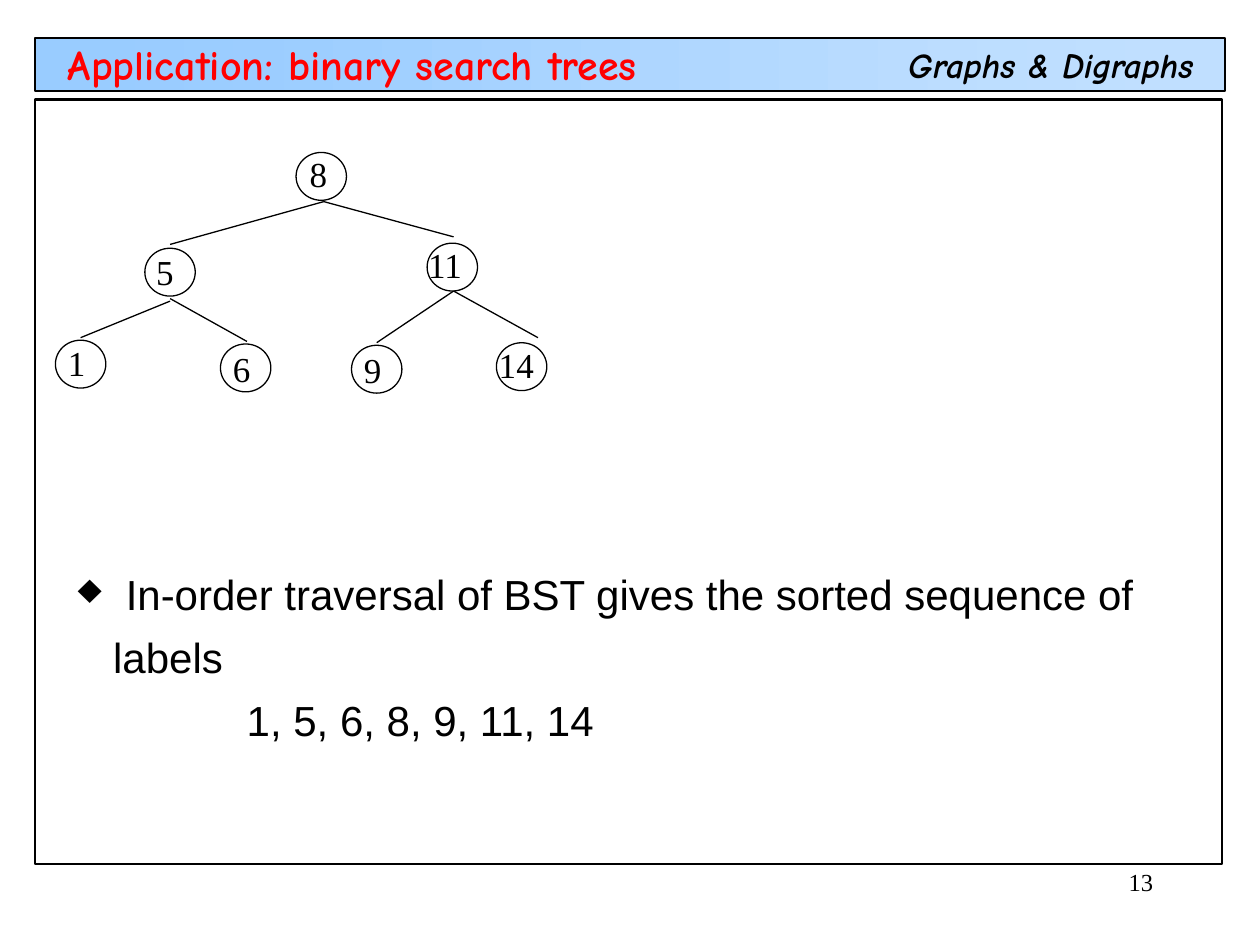
import math

from lxml import etree
from pptx import Presentation
from pptx import util as u
from pptx.dml.color import RGBColor
from pptx.enum import shapes, text
from pptx.oxml.ns import qn

PX = 9144  # EMU per px, 100 px to the inch
BLACK = RGBColor(0x00, 0x00, 0x00)
RED = RGBColor(0xFF, 0x00, 0x00)
BAND_START = RGBColor(0x99, 0xCC, 0xFF)
BAND_END = RGBColor(0xC0, 0xDF, 0xFF)
STRIPS = 24

# label, circle left and top, label left, top and width
NODES = [
    ("8", 235, 121, 236, 116, 41),
    ("5", 115, 197, 114, 194, 41),
    ("11", 339, 193, 330, 188, 60),
    ("1", 44, 270, 44, 266, 41),
    ("6", 175, 273, 175, 271, 41),
    ("9", 279, 274, 279, 272, 41),
    ("14", 394, 272, 386, 268, 82),
]
EDGES = [
    (257, 160, 135, 194),
    (257, 160, 360, 188),
    (135, 239, 64, 268),
    (135, 237, 196, 271),
    (360, 231, 299, 272),
    (360, 231, 427, 268),
]
# text, left margin, first-line indent, bullet
BODY = [
    ("In-order traversal of BST gives the sorted sequence of", 38, -38, "♦"),
    ("labels", 28, 0, None),
    ("1, 5, 6, 8, 9, 11, 14", 134, 0, None),
]


def band_colour(position):
    """Blend the band's end colours with a cosine ease; position is 0 to 1."""
    ease = (1 - math.cos(math.pi * position)) / 2
    return RGBColor(*(round(a + (b - a) * ease) for a, b in zip(BAND_START, BAND_END)))


class SlideBuilder:
    def __init__(self, slide):
        self.slide = slide

    def shape(self, kind, left, top, width, height, fill=None, line_width=None):
        shape = self.slide.shapes.add_shape(
            kind, left * PX, top * PX, width * PX, height * PX)
        shape.shadow.inherit = False
        if fill is None:
            shape.fill.background()
        else:
            shape.fill.solid()
            shape.fill.fore_color.rgb = fill
        if line_width is None:
            shape.line.fill.background()
        else:
            shape.line.color.rgb = BLACK
            shape.line.width = u.Pt(line_width)

    def line(self, x1, y1, x2, y2):
        connector = self.slide.shapes.add_connector(
            shapes.MSO_CONNECTOR.STRAIGHT, x1 * PX, y1 * PX, x2 * PX, y2 * PX)
        connector.line.color.rgb = BLACK
        connector.line.width = u.Pt(0.75)
        etree.SubElement(connector._element.spPr, qn("a:effectLst"))

    def frame(self, left, top, width, height, wrap=True):
        box = self.slide.shapes.add_textbox(
            left * PX, top * PX, width * PX, height * PX)
        box.text_frame.word_wrap = wrap
        return box.text_frame

    def style(self, paragraph, font, size, colour=BLACK, bold=False, italic=False):
        paragraph.font.name = font
        paragraph.font.size = u.Pt(size)
        paragraph.font.color.rgb = colour
        paragraph.font.bold = bold
        paragraph.font.italic = italic

    def label(self, words, box, font, size, wrap=True, anchor=text.MSO_ANCHOR.TOP,
              align=text.PP_ALIGN.LEFT, **look):
        frame = self.frame(*box, wrap=wrap)
        frame.vertical_anchor = anchor
        paragraph = frame.paragraphs[0]
        paragraph.text = words
        paragraph.alignment = align
        self.style(paragraph, font, size, **look)

    def body(self, items, box):
        frame = self.frame(*box)
        for index, (words, margin, indent, bullet) in enumerate(items):
            paragraph = frame.add_paragraph() if index else frame.paragraphs[0]
            paragraph.text = words
            paragraph.space_before = u.Pt(6)
            paragraph.line_spacing = 1.05
            self.style(paragraph, "Arial", 24)
            properties = paragraph._p.get_or_add_pPr()
            properties.set("marL", str(margin * PX))
            properties.set("indent", str(indent * PX))
            if bullet:
                mark = etree.Element(qn("a:buChar"), char=bullet)
                properties.find(qn("a:defRPr")).addprevious(mark)


def main():
    presentation = Presentation()
    presentation.slide_width = 1000 * PX
    presentation.slide_height = 750 * PX
    builder = SlideBuilder(presentation.slides.add_slide(presentation.slide_layouts[6]))
    rectangle = shapes.MSO_SHAPE.RECTANGLE

    for i in range(STRIPS):
        left = 28 + round(944 * i / STRIPS)
        width = min(41, 972 - left)
        builder.shape(rectangle, left, 30, width, 42, fill=band_colour(i / (STRIPS - 1)))
    builder.shape(rectangle, 28, 30, 944, 42, line_width=1.25)
    builder.shape(rectangle, 28, 79, 942, 607, line_width=1.25)

    builder.label("Graphs & Digraphs", (711, 30, 248, 44), "Comic Neue", 20,
                  wrap=False, bold=True, italic=True)
    builder.label("13", (792, 683, 133, 50), "Times New Roman", 14,
                  align=text.PP_ALIGN.RIGHT)
    builder.label("Application: binary search trees", (44, 38, 612, 25), "Comic Neue", 24,
                  anchor=text.MSO_ANCHOR.MIDDLE, colour=RED, bold=True)
    builder.body(BODY, (52, 444, 906, 227))

    for words, left, top, label_left, label_top, label_width in NODES:
        builder.shape(shapes.MSO_SHAPE.OVAL, left, top, 40, 38, line_width=0.75)
        builder.label(words, (label_left, label_top, label_width, 44), "Times New Roman", 20)
    for edge in EDGES:
        builder.line(*edge)

    presentation.save("out.pptx")


if __name__ == "__main__":
    main()
